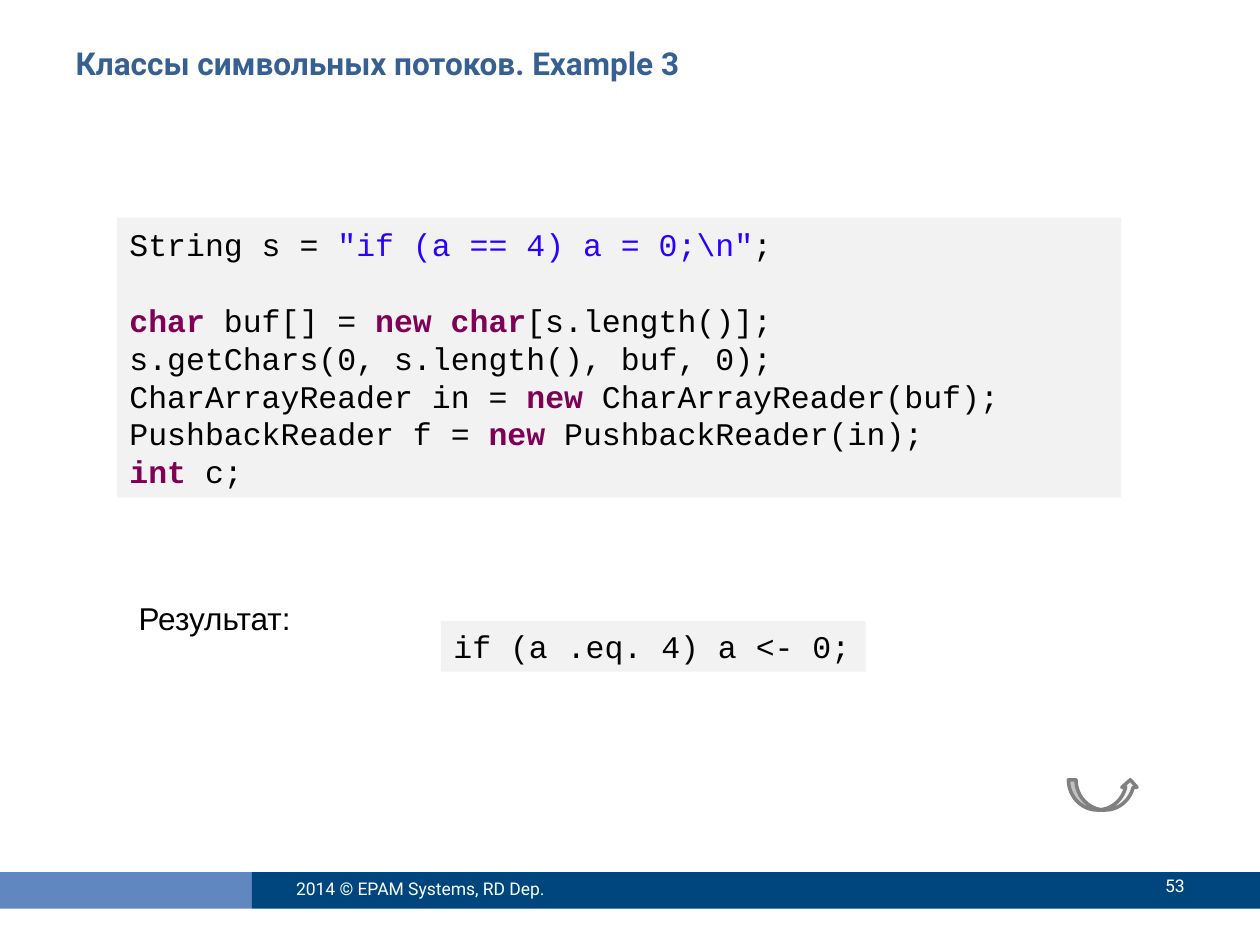
from pptx import Presentation
from pptx.dml.color import RGBColor
from pptx.enum.shapes import MSO_SHAPE
from pptx.enum.text import MSO_ANCHOR, MSO_AUTO_SIZE, PP_ALIGN
from pptx.oxml.xmlchemy import OxmlElement
from pptx.util import Cm, Pt

RECT, CURVED_ARROW = MSO_SHAPE.RECTANGLE, MSO_SHAPE.CURVED_UP_ARROW
TOP, MIDDLE = MSO_ANCHOR.TOP, MSO_ANCHOR.MIDDLE
LEFT, RIGHT = PP_ALIGN.LEFT, PP_ALIGN.RIGHT
NO_FIT = MSO_AUTO_SIZE.NONE

WHITE = RGBColor(0xFF, 0xFF, 0xFF)
BLACK = RGBColor(0, 0, 0)
TITLE_BLUE = RGBColor(0x37, 0x60, 0x92)
LIGHT_BLUE = RGBColor(0x60, 0x87, 0xBF)
DARK_BLUE = RGBColor(0x00, 0x46, 0x7E)
PANEL = RGBColor(0xF2, 0xF2, 0xF2)
GRAY = RGBColor(0x80, 0x80, 0x80)
KEYWORD = RGBColor(0x7F, 0x00, 0x55)
LITERAL = RGBColor(0x2A, 0x00, 0xFF)

# Each code line is a list of (text, colour); keywords are bold
CODE = [
    [("String s = ", BLACK), ('"if (a == 4) a = 0;\\n"', LITERAL), (";", BLACK)],
    [("\t", BLACK)],
    [("char ", KEYWORD), ("buf[] = ", BLACK), ("new char", KEYWORD),
     ("[s.length()];", BLACK)],
    [("s.getChars(0, s.length(), buf, 0);", BLACK)],
    [("CharArrayReader in = ", BLACK), ("new ", KEYWORD),
     ("CharArrayReader(buf);", BLACK)],
    [("PushbackReader f = ", BLACK), ("new ", KEYWORD),
     ("PushbackReader(in);", BLACK)],
    [("int", KEYWORD), (" c;", BLACK)],
]
RESULT = [[("if (a .eq. 4) a <- 0;", BLACK)]]


def style(font, name, size, color, bold=False):
    font.name, font.size, font.bold = name, Pt(size), bold
    font.color.rgb = color


def place(s, left, top, width, height):
    s.left, s.top, s.width, s.height = Cm(left), Cm(top), Cm(width), Cm(height)


def add_block(slide, kind, left, top, width, height, fill):
    s = slide.shapes.add_shape(kind, Cm(left), Cm(top), Cm(width), Cm(height))
    s.shadow.inherit = False
    s.fill.solid()
    s.fill.fore_color.rgb = fill
    s.line.fill.background()
    return s


def add_code(slide, left, top, width, height, lines, wrap=True):
    tf = add_block(slide, RECT, left, top, width, height, PANEL).text_frame
    tf.word_wrap = wrap
    tf.vertical_anchor = MIDDLE
    for i, line in enumerate(lines):
        p = tf.add_paragraph() if i else tf.paragraphs[0]
        p.alignment = LEFT
        for text, color in line:
            r = p.add_run()
            r.text = text
            style(r.font, "Courier New", 18, color, color == KEYWORD)


def add_footer_text(slide, left, top, width, text, align):
    s = slide.shapes.add_textbox(Cm(left), Cm(top), Cm(width), Cm(1.02))
    tf = s.text_frame
    tf.word_wrap = True
    tf.vertical_anchor = MIDDLE
    tf.text = text
    p = tf.paragraphs[0]
    p.alignment = align
    style(p.runs[0].font, "Roboto", 10, WHITE)


def fill_placeholder(s, text):
    tf = s.text_frame
    tf.text = text
    tf.word_wrap = True
    tf.auto_size = NO_FIT
    tf.vertical_anchor = TOP
    p = tf.paragraphs[0]
    p.alignment = LEFT
    p.space_before = Pt(0)
    return p


def main():
    prs = Presentation()
    prs.slide_width, prs.slide_height = Cm(25.4), Cm(19.05)
    slide = prs.slides.add_slide(prs.slide_layouts[1])
    title, body = slide.placeholders

    # Footer band
    add_block(slide, RECT, 0, 17.58, 5.08, 0.74, LIGHT_BLUE)
    add_block(slide, RECT, 5.08, 17.58, 20.32, 0.74, DARK_BLUE)
    add_footer_text(slide, 5.72, 17.4, 6.78, "2014 © EPAM Systems, RD Dep.", LEFT)
    add_footer_text(slide, 21.39, 17.35, 2.74, "53", RIGHT)

    # Title
    place(title, 1.27, 0.76, 22.86, 1.98)
    p = fill_placeholder(title, "Классы символьных потоков. Example 3")
    style(p.runs[0].font, "Roboto", 18, TITLE_BLUE, True)

    # Code listing
    add_code(slide, 2.36, 4.39, 20.24, 5.64, CODE)

    # Result label and its output
    place(body, 2.54, 11.94, 20.32, 1.6)
    p = fill_placeholder(body, "Результат:")
    p._p.get_or_add_pPr().append(OxmlElement("a:buNone"))
    style(p.runs[0].font, "Arial", 18, BLACK)
    add_code(slide, 8.89, 12.52, 8.56, 1.02, RESULT, wrap=False)

    # Return arrow
    arrow = add_block(slide, CURVED_ARROW, 21.54, 15.72, 1.4, 0.61, PANEL)
    arrow.line.color.rgb = GRAY
    arrow.line.width = Pt(2)

    prs.save("out.pptx")


if __name__ == "__main__":
    main()
